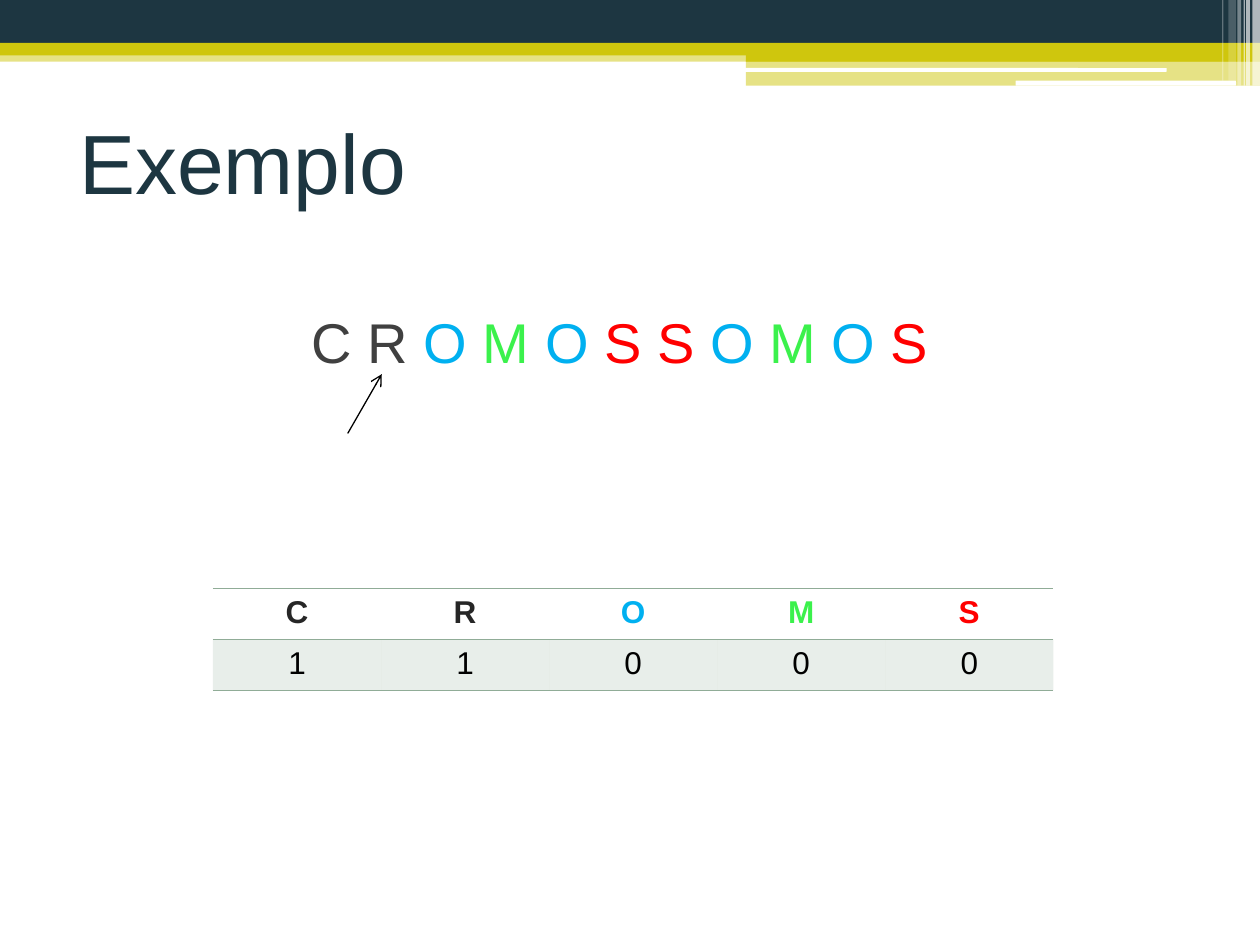
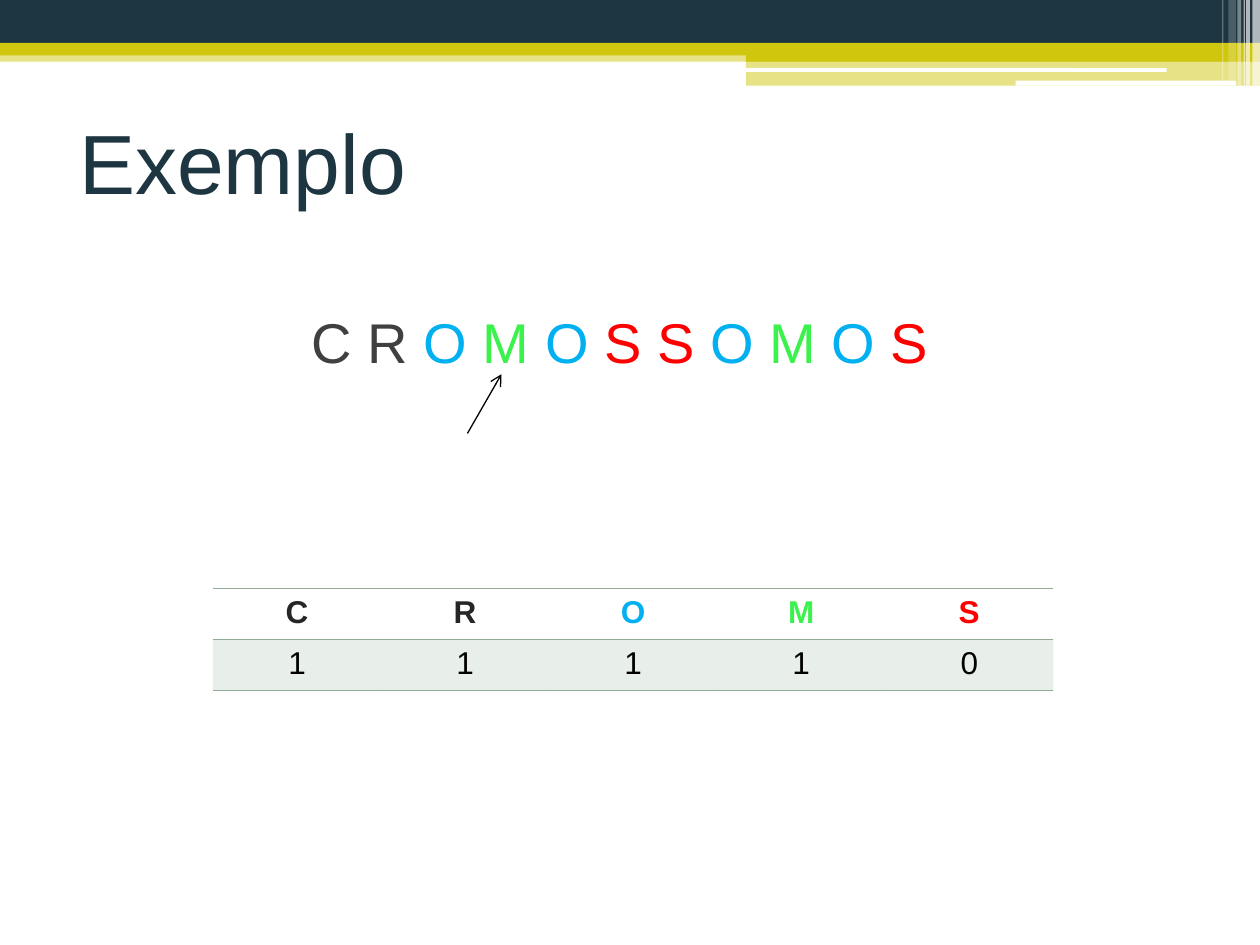
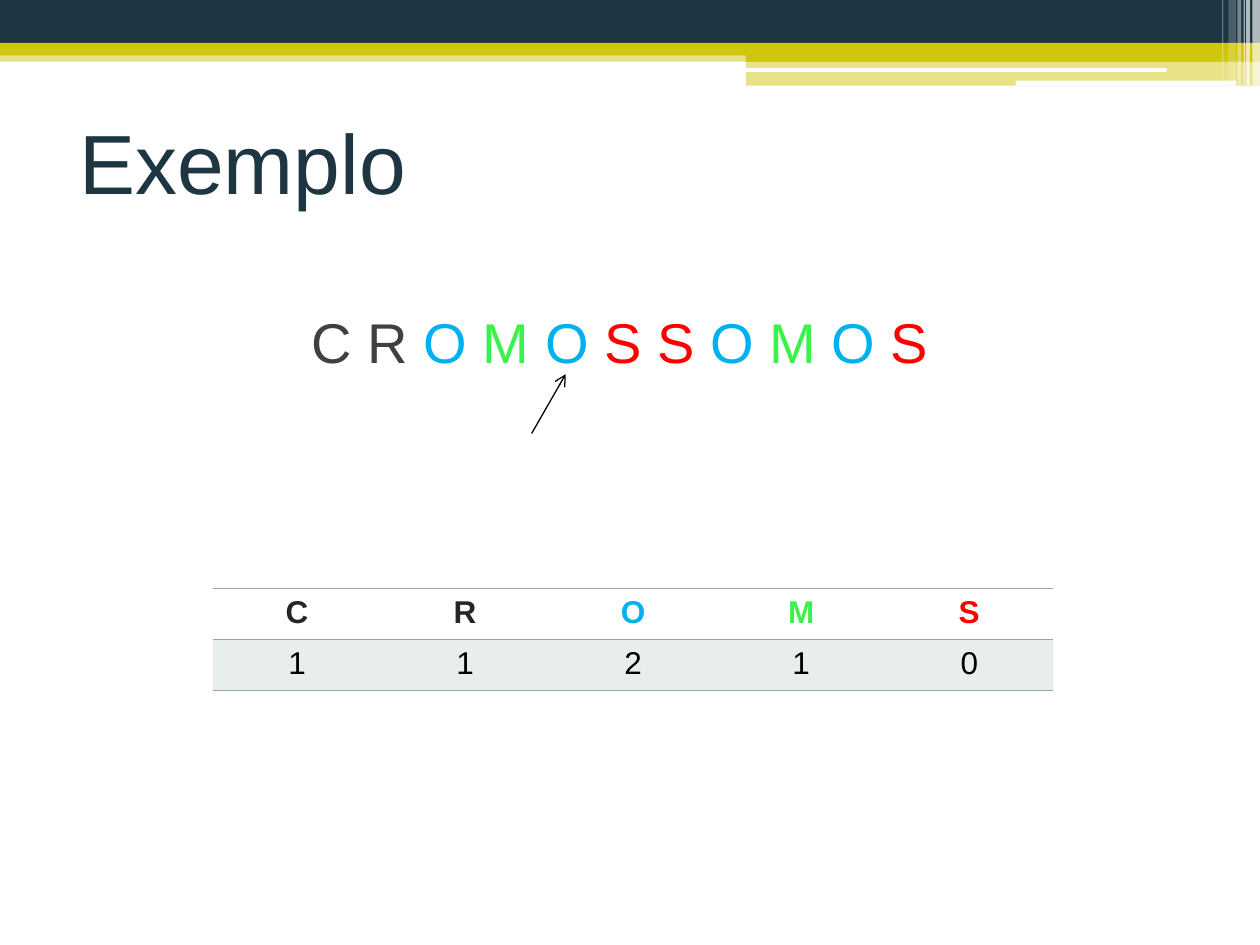
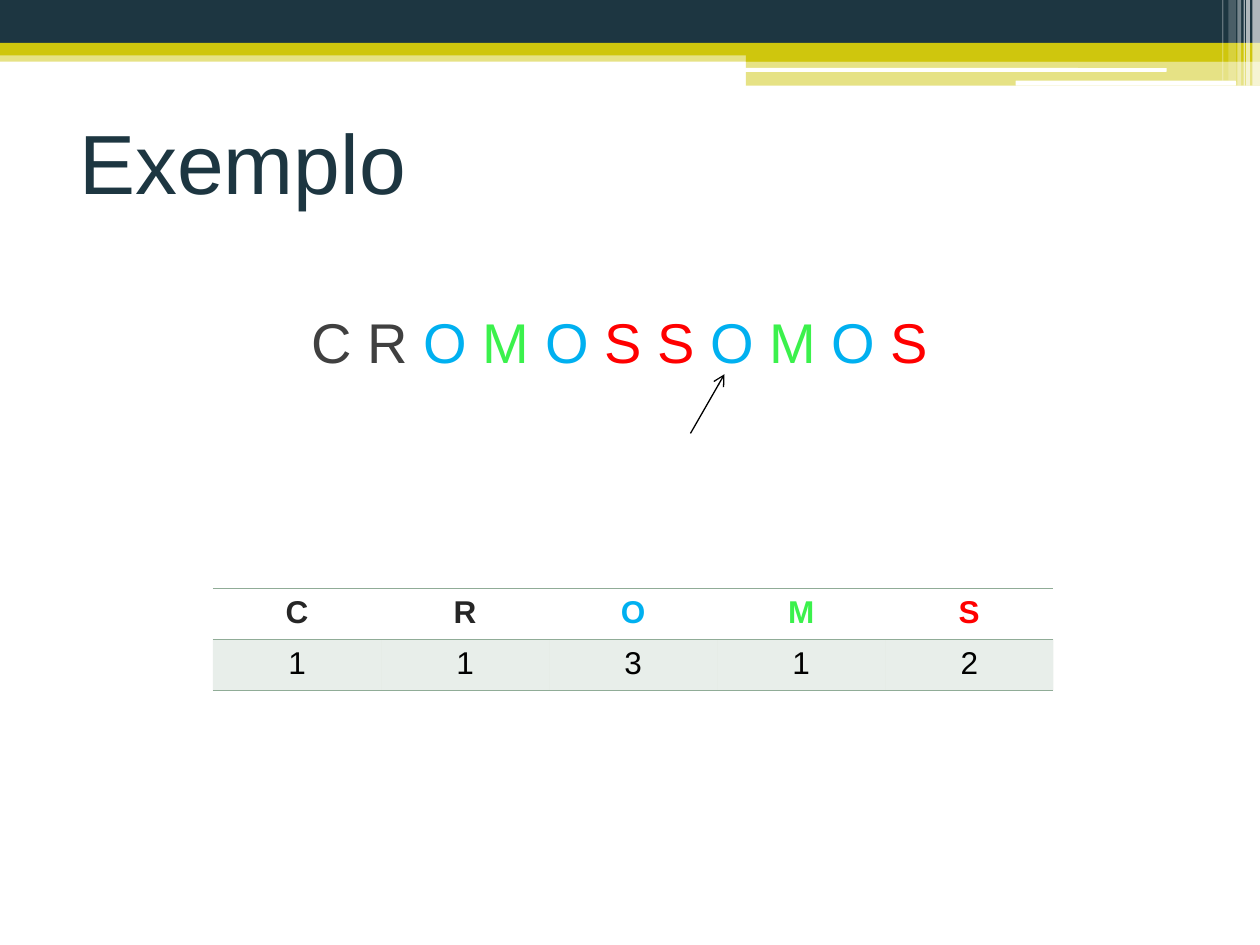
from itertools import groupby

from lxml import etree
from pptx import Presentation
from pptx.dml.color import RGBColor
from pptx.enum import shapes, text
from pptx.oxml import ns
from pptx.util import Inches, Pt

COLORS = {
    "navy": "1D3641", "yellow": "CFC60D", "white": "FFFFFF", "black": "000000",
    "sage": "90AC97", "gray": "404040", "dark": "262626",
    "blue": "00B0F0", "green": "3BF14C", "red": "FF0000",
}
LETTER_COLORS = {"O": "blue", "M": "green", "S": "red"}
WORD = "CROMOSSOMOS"
ALPHABET = list(dict.fromkeys(WORD))
NO_STYLE = "{2D5ABB26-0587-4C30-8999-92F81FD0307C}"

# Header decoration: left, top, width, height, colour, opacity in percent
BANDS = [
    (0, 0.4, 10, 0.09, "yellow", 50),
    (0, 0, 10, 0.34, "navy", 100),
    (0, 0.34, 10, 0.1, "yellow", 100),
    (5.92, 0.39, 4.08, 0.1, "yellow", 100),
    (5.92, 0.48, 4.08, 0.2, "yellow", 50),
]
SLOTS = [(5.91, 0.54, 3.35, 0.03, "white", 100), (8.06, 0.64, 1.75, 0.04, "white", 100)]
STRIPES = [  # left, width, height, opacity
    (9.94, 0.06, 0.68, 65), (9.89, 0.03, 0.68, 65), (9.87, 0.01, 0.68, 60),
    (9.82, 0.03, 0.68, 40), (9.75, 0.06, 0.64, 20), (9.7, 0.01, 0.64, 30),
]

# Letters read so far, and the x of the arrow tip
STEPS = [(2, 3.03), (4, 3.98), (5, 4.49), (8, 5.75)]


def rgb(name):
    return RGBColor.from_string(COLORS[name])


def add_xml(parent, tag, **attributes):
    return etree.SubElement(parent, ns.qn(tag), attributes)


class Slides:
    def __init__(self):
        self.deck = Presentation()
        self.deck.slide_width, self.deck.slide_height = Inches(10), Inches(7.5)
        self.layout = self.deck.slide_layouts.get_by_name("Title Only")
        for holder in list(self.layout.placeholders):
            if holder.placeholder_format.type != shapes.PP_PLACEHOLDER.TITLE:
                holder.element.getparent().remove(holder.element)
        self.page = None

    def new_page(self):
        self.page = self.deck.slides.add_slide(self.layout)

    def fill(self, target, color, opacity=100):
        target.fill.solid()
        target.fill.fore_color.rgb = rgb(color)
        if opacity < 100:
            # Both shapes and cells keep their fill in a solidFill element
            owner = target.element.spPr if hasattr(target, "element") else target._tc.tcPr
            color_node = owner.find(ns.qn("a:solidFill"))[0]
            add_xml(color_node, "a:alpha", val=str(opacity * 1000))

    def span(self, para, words, size, color, bold=False):
        span = para.add_run()
        span.text = words
        span.font.color.rgb = rgb(color)
        style = {"name": "Arial", "size": Pt(size), "bold": bold}
        for key, value in style.items():
            setattr(span.font, key, value)

    def band(self, left, top, width, height, color, opacity, rounded=False):
        kind = shapes.MSO_SHAPE.ROUNDED_RECTANGLE if rounded else shapes.MSO_SHAPE.RECTANGLE
        band = self.page.shapes.add_shape(
            kind, Inches(left), Inches(top), Inches(width), Inches(height))
        band.shadow.inherit = False
        band.line.fill.background()
        self.fill(band, color, opacity)
        # The layout holds the decoration, so every page shows it
        self.layout.shapes.element.append(band.element)

    def header(self):
        for band in BANDS:
            self.band(*band)
        for slot in SLOTS:
            self.band(*slot, rounded=True)
        for left, width, height, opacity in STRIPES:
            self.band(left, 0, width, height, "white", opacity)

    def title(self, words):
        box = self.page.shapes.title
        place = {"left": 0.53, "top": 0.78, "width": 8.25, "height": 1}
        for key, value in place.items():
            setattr(box, key, Inches(value))
        frame = box.text_frame
        frame.auto_size = text.MSO_AUTO_SIZE.NONE
        frame.vertical_anchor = text.MSO_ANCHOR.MIDDLE
        para = frame.paragraphs[0]
        para.alignment = text.PP_ALIGN.LEFT
        self.span(para, words, 48, "navy")

    def spaced_word(self, word):
        box = self.page.shapes.add_textbox(
            Inches(0.43), Inches(2.39), Inches(8.98), Inches(0.64))
        frame = box.text_frame
        frame.word_wrap = True
        frame.auto_size = text.MSO_AUTO_SIZE.SHAPE_TO_FIT_TEXT
        para = frame.paragraphs[0]
        para.alignment = text.PP_ALIGN.CENTER
        runs = [(color, " ".join(letters)) for color, letters in
                groupby(word, lambda letter: LETTER_COLORS.get(letter, "gray"))]
        for index, (color, words) in enumerate(runs):
            gap = " " if index < len(runs) - 1 else ""
            self.span(para, words + gap, 32, color)

    def arrow(self, tip):
        arrow = self.page.shapes.add_connector(
            shapes.MSO_CONNECTOR.STRAIGHT,
            Inches(tip - 0.27), Inches(3.44), Inches(tip), Inches(2.97))
        arrow.line.color.rgb = rgb("black")
        arrow.line.width = Pt(0.75)
        add_xml(arrow.line._get_or_add_ln(), "a:tailEnd", type="arrow")
        add_xml(arrow.element.spPr, "a:effectLst")

    def cell(self, cell, words, color, bold, sides):
        para = cell.text_frame.paragraphs[0]
        para.alignment = text.PP_ALIGN.CENTER
        self.span(para, words, 18, color, bold)
        if bold:
            cell.fill.background()
        else:
            self.fill(cell, "sage", 20)
        # Borders come before the fill in the cell properties
        for position, side in enumerate(sides):
            border = etree.Element(ns.qn(f"a:ln{side}"), w=str(Pt(1)))
            paint = add_xml(border, "a:solidFill")
            add_xml(paint, "a:srgbClr", val=COLORS["sage"])
            cell._tc.tcPr.insert(position, border)

    def count_table(self, seen):
        frame = self.page.shapes.add_table(
            2, len(ALPHABET), Inches(1.69), Inches(4.67), Inches(6.67), Inches(0.81))
        table = frame.table
        table.horz_banding = False
        table._tbl.tblPr.find(ns.qn("a:tableStyleId")).text = NO_STYLE
        for column, letter in enumerate(ALPHABET):
            color = LETTER_COLORS.get(letter, "dark")
            self.cell(table.cell(0, column), letter, color, True, "TB")
            self.cell(table.cell(1, column), str(seen.count(letter)), "black", False, "TB")


# One page for each step of the count
slides = Slides()
for number, (read, tip) in enumerate(STEPS):
    slides.new_page()
    if number == 0:
        slides.header()
    slides.title("Exemplo")
    slides.spaced_word(WORD)
    slides.arrow(tip)
    slides.count_table(WORD[:read])

slides.deck.save("out.pptx")
